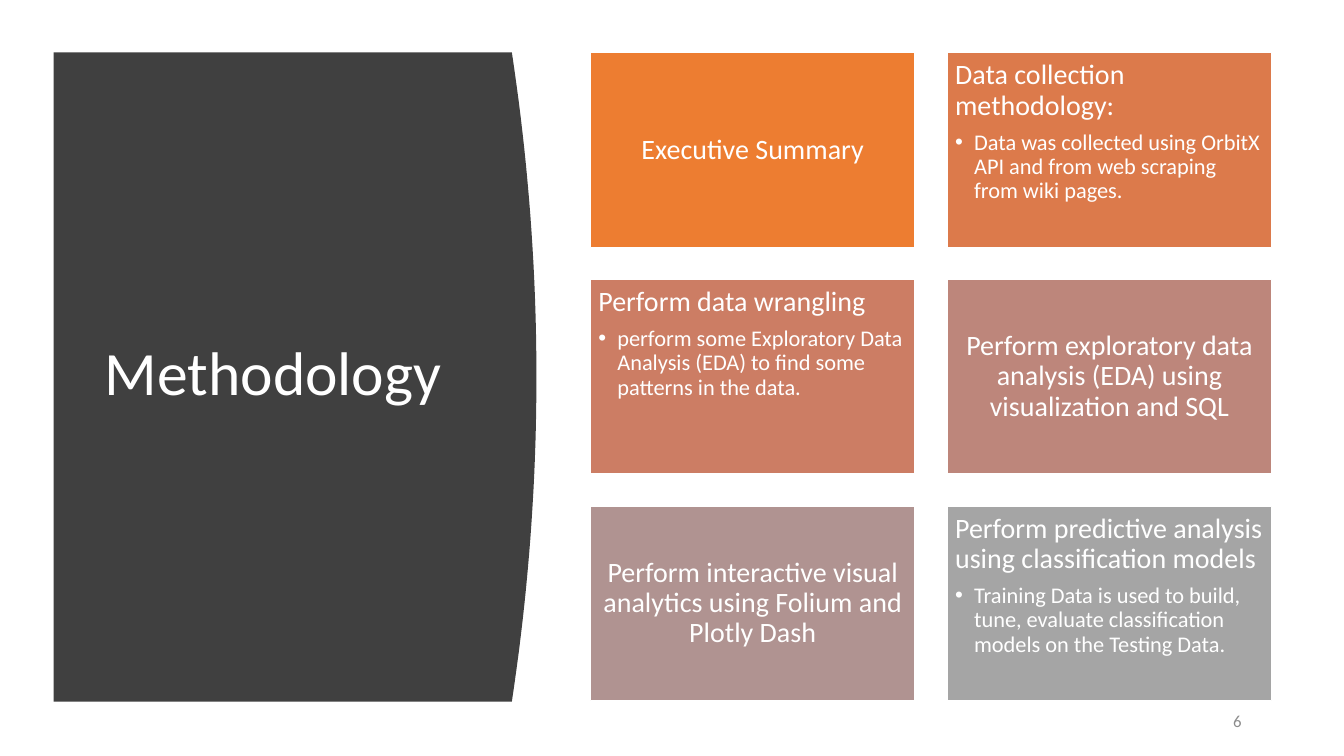
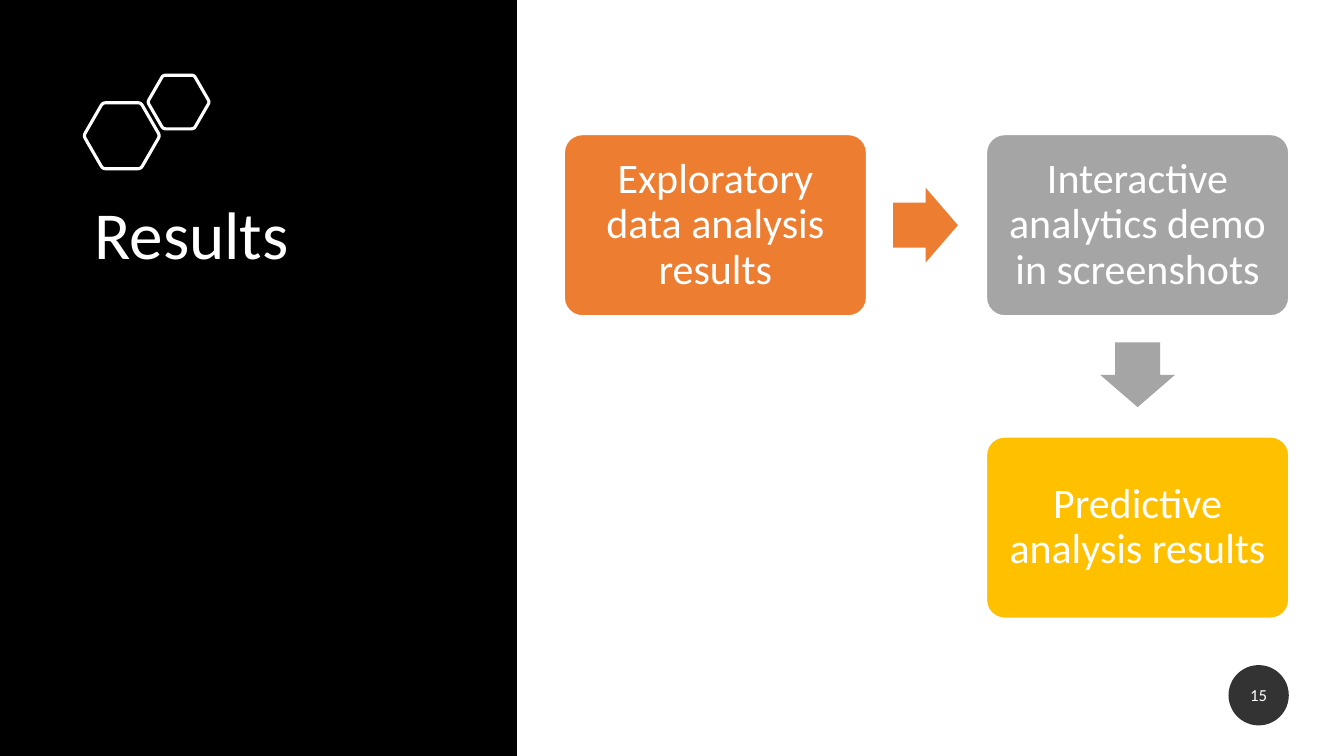
import math
import pptx
import pptx.util
import pptx.dml.color
import pptx.enum.shapes
import pptx.enum.text
import pptx.oxml
import pptx.oxml.ns
from lxml import etree

Cm, Pt = pptx.util.Cm, pptx.util.Pt
SHAPE = pptx.enum.shapes.MSO_SHAPE
ALIGN = pptx.enum.text.PP_ALIGN
ANCHOR = pptx.enum.text.MSO_ANCHOR

FONT = "Calibri"
COLORS = {
    "white": "FFFFFF",
    "black": "000000",
    "charcoal": "404040",
    "page_number": "8C8C8C",
    "orange": "ED7D31",
    "copper": "DC7A4B",
    "terracotta": "CC7D64",
    "rose": "BD867B",
    "mauve": "B09391",
    "gray": "A5A5A5",
    "gold": "FFC000",
}

METHODS = [
    ("orange", "Executive Summary", None),
    ("copper", "Data collection methodology:",
     "Data was collected using OrbitX API and from web scraping from wiki pages."),
    ("terracotta", "Perform data wrangling",
     "perform some Exploratory Data Analysis (EDA) to find some patterns in the data."),
    ("rose", "Perform exploratory data analysis (EDA) using visualization and SQL", None),
    ("mauve", "Perform interactive visual analytics using Folium and Plotly Dash", None),
    ("gray", "Perform predictive analysis using classification models",
     "Training Data is used to build, tune, evaluate classification models on the Testing Data."),
]


def rgb(color):
    """Return the named colour."""
    return pptx.dml.color.RGBColor.from_string(COLORS[color])


def paint(shape, fill=None, line=None, width=1):
    """Set fill and outline of a shape and remove its shadow."""
    shape.shadow.inherit = False
    if fill:
        shape.fill.solid()
        shape.fill.fore_color.rgb = rgb(fill)
    else:
        shape.fill.background()
    if line:
        shape.line.color.rgb = rgb(line)
        shape.line.width = Pt(width)
    else:
        shape.line.fill.background()
    return shape


def add_block(slide, preset, box, fill, line=None):
    """Add a preset shape in a box given in centimetres."""
    return paint(slide.shapes.add_shape(preset, *map(Cm, box)), fill, line)


def add_outline(slide, points, fill=None, line=None, width=1):
    """Add a closed outline through points given in centimetres."""
    corners = [(Cm(x), Cm(y)) for x, y in points]
    builder = slide.shapes.build_freeform(*corners[0])
    builder.add_line_segments(corners[1:], close=True)
    return paint(builder.convert_to_shape(), fill, line, width)


def set_frame(shape, anchor, margin=None):
    """Wrap and anchor the text of a shape and return its frame."""
    frame = shape.text_frame
    frame.word_wrap = True
    frame.vertical_anchor = anchor
    if margin is not None:
        frame.margin_left = frame.margin_right = Cm(margin)
        frame.margin_top = frame.margin_bottom = Cm(margin)
    return frame


def write(paragraph, text, size, color="white", align=ALIGN.LEFT, spacing=0.9):
    """Fill a paragraph with text in the shared font."""
    paragraph.text = text
    paragraph.alignment = align
    paragraph.line_spacing = spacing
    paragraph.font.name = FONT
    paragraph.font.size = Pt(size)
    paragraph.font.color.rgb = rgb(color)


def add_text(slide, box, text, size, anchor, **style):
    """Add a text box with one paragraph."""
    frame = set_frame(slide.shapes.add_textbox(*map(Cm, box)), anchor)
    write(frame.paragraphs[0], text, size, **style)


def add_bullet(paragraph, indent):
    """Give a paragraph a hanging bullet."""
    properties = paragraph._p.get_or_add_pPr()
    properties.set("marL", str(Cm(indent)))
    properties.set("indent", str(-Cm(indent)))
    font = etree.SubElement(properties, pptx.oxml.ns.qn("a:buFont"))
    font.set("typeface", "Arial")
    bullet = etree.SubElement(properties, pptx.oxml.ns.qn("a:buChar"))
    bullet.set("char", "•")


def add_curved_panel(slide, box, bulge, title):
    """Draw the title panel whose right edge bows outwards."""
    left, top, width, height = box
    steps = 40
    edge = []
    for step in range(steps + 1):
        share = step / steps
        bow = bulge * (1 - (2 * share - 1) ** 2)
        edge.append((left + width - bulge + bow, top + share * height))
    add_outline(slide, [(left, top), *edge, (left, top + height)], "charcoal")
    add_text(slide, (left + 1.04, top + 1.5, 9.5, 13.31), title, 44, ANCHOR.MIDDLE)


def add_method_card(slide, box, fill, heading, detail):
    """Draw one card: a centred heading, or a heading with a bullet."""
    card = add_block(slide, SHAPE.RECTANGLE, box, fill, "white")
    frame = set_frame(card, ANCHOR.TOP if detail else ANCHOR.MIDDLE, 0.2)
    first = frame.paragraphs[0]
    write(first, heading, 20, align=ALIGN.LEFT if detail else ALIGN.CENTER)
    if detail:
        first.space_after = Pt(7)
        second = frame.add_paragraph()
        add_bullet(second, 0.48)
        write(second, detail, 16)


def add_method_grid(slide, box, columns=2, gap=0.81):
    """Lay the method cards out in a grid."""
    left, top, width, height = box
    rows = math.ceil(len(METHODS) / columns)
    card_width = (width - gap * (columns - 1)) / columns
    card_height = (height - gap * (rows - 1)) / rows
    for index, method in enumerate(METHODS):
        row, column = divmod(index, columns)
        x = left + column * (card_width + gap)
        y = top + row * (card_height + gap)
        add_method_card(slide, (x, y, card_width, card_height), *method)


def add_hexagon(slide, center, radius, rounding=0.08, steps=4):
    """Draw a white hexagon outline with softened corners."""
    tips = [(center[0] + radius * math.cos(math.radians(angle)),
             center[1] + radius * math.sin(math.radians(angle)))
            for angle in range(0, 360, 60)]
    points = []
    for index, tip in enumerate(tips):
        before, after = tips[index - 1], tips[(index + 1) % len(tips)]
        for step in range(steps + 1):
            t = step / steps
            points.append(tuple(
                p + rounding * ((1 - t) ** 2 * (b - p) + t ** 2 * (a - p))
                for p, b, a in zip(tip, before, after)))
    add_outline(slide, points, line="white", width=2.25)


def add_results_band(slide, box, title):
    """Draw the black band with its hexagons and title."""
    left, top, width, height = box
    add_block(slide, SHAPE.RECTANGLE, box, "black")
    add_text(slide, (left + 2.13, top + 4.95, 9.96, 8.89), title, 48, ANCHOR.TOP)
    add_hexagon(slide, (left + 3.07, top + 3.42), 0.96)
    add_hexagon(slide, (left + 4.5, top + 2.57), 0.78)


def add_results_flow(slide, box):
    """Draw the three result steps and the arrows between them."""
    left, top, width, height = box
    step_width, step_height = 7.62, 4.57
    right, bottom = left + width - step_width, top + height - step_height
    steps = [
        (left, top, "orange", "Exploratory data analysis results"),
        (right, top, "gray", "Interactive analytics demo in screenshots"),
        (right, bottom, "gold", "Predictive analysis results"),
    ]
    for x, y, fill, text in steps:
        step = add_block(slide, SHAPE.ROUNDED_RECTANGLE,
                         (x, y, step_width, step_height), fill, "white")
        step.adjustments[0] = 0.1
        write(set_frame(step, ANCHOR.MIDDLE, 0.3).paragraphs[0], text, 30, align=ALIGN.CENTER)
    length, breadth, offset = 1.63, 1.89, 0.67
    arrows = [
        (SHAPE.RIGHT_ARROW, "orange", (left + step_width + offset,
                                       top + (step_height - breadth) / 2, length, breadth)),
        (SHAPE.DOWN_ARROW, "gray", (right + (step_width - breadth) / 2,
                                    top + step_height + offset, breadth, length)),
    ]
    for preset, fill, place in arrows:
        arrow = add_block(slide, preset, place, fill)
        arrow.adjustments[0], arrow.adjustments[1] = 0.6, 0.5


def add_page_badge(slide, box, number):
    """Draw the page number in a translucent black circle."""
    badge = add_block(slide, SHAPE.OVAL, box, "black")
    tone = badge._element.spPr.find(".//" + pptx.oxml.ns.qn("a:srgbClr"))
    etree.SubElement(tone, pptx.oxml.ns.qn("a:alpha")).set("val", "80000")
    frame = set_frame(badge, ANCHOR.MIDDLE)
    write(frame.paragraphs[0], number, 12, align=ALIGN.CENTER, spacing=1.0)


def build_methodology(slide):
    """Build the methodology slide."""
    add_curved_panel(slide, (1.35, 1.32, 12.17, 16.36), 0.62, "Methodology")
    add_text(slide, (29.79, 17.65, 1.75, 1.02), "6", 12, ANCHOR.MIDDLE,
             color="page_number", align=ALIGN.RIGHT, spacing=1.0)
    add_method_grid(slide, (14.88, 1.33, 17.17, 16.33))


def build_results(slide):
    """Build the results slide."""
    add_results_band(slide, (0, 0, 13.03, 19.05), "Results")
    add_page_badge(slide, (30.96, 16.76, 1.52, 1.52), "15")
    add_results_flow(slide, (14.22, 3.39, 18.26, 12.19))


def main():
    """Build and save the presentation."""
    deck = pptx.Presentation()
    deck.slide_width, deck.slide_height = Cm(33.87), Cm(19.05)
    for build in (build_methodology, build_results):
        build(deck.slides.add_slide(deck.slide_layouts[6]))
    deck.save("out.pptx")


if __name__ == "__main__":
    main()
